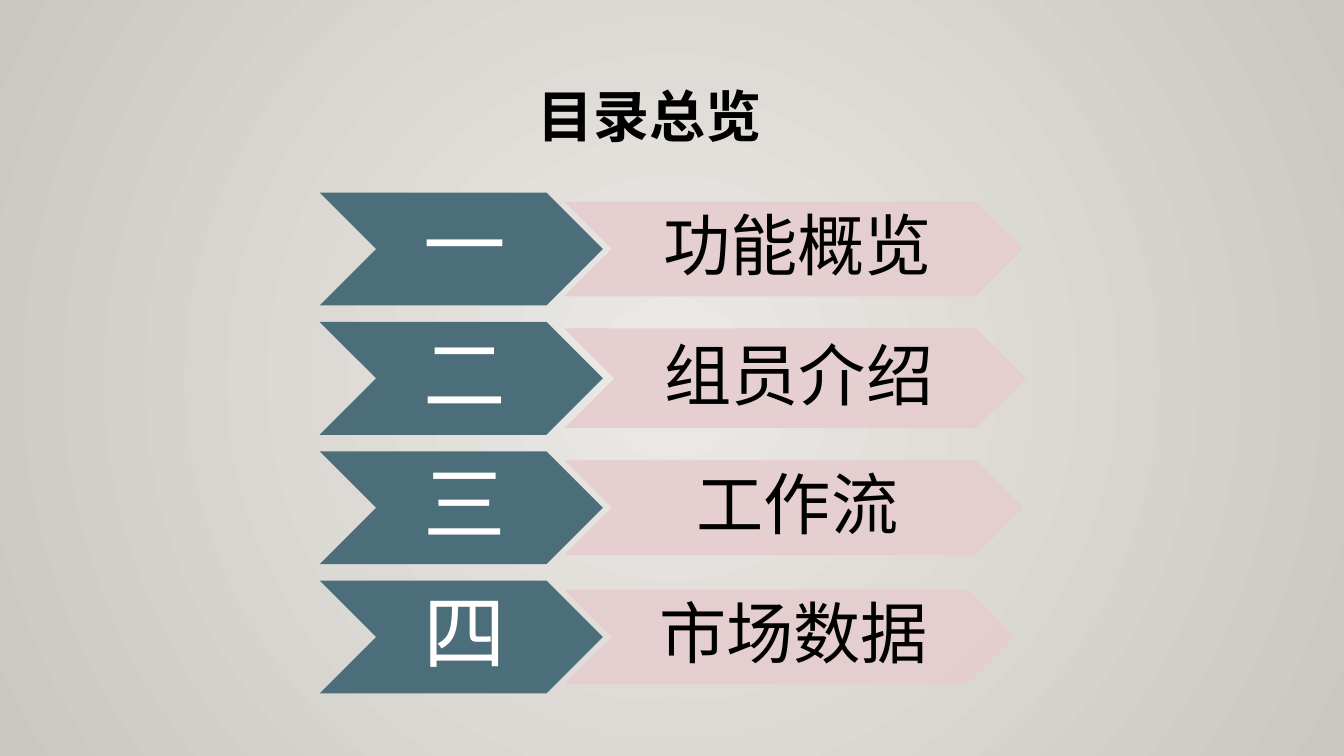
import dataclasses

import pptx
import pptx.dml.color
import pptx.enum.shapes
import pptx.enum.text
import pptx.oxml
import pptx.oxml.ns
import pptx.util

Inches = pptx.util.Inches
Pt = pptx.util.Pt
RGB = pptx.dml.color.RGBColor.from_string
qn = pptx.oxml.ns.qn


@dataclasses.dataclass(frozen=True)
class Theme:
    font: str = "Calibri"
    centre: str = "ECEAE7"
    edge: str = "CAC7C1"
    number_fill: str = "4C6E7A"
    topic_fill: str = "E6CDCF"
    light: str = "FFFFFF"
    dark: str = "000000"
    title_size: int = 40
    number_size: int = 59
    topic_size: int = 48


THEME = Theme()

# Number, topic, topic arrow width and height
AGENDA = [
    ("一", "功能概览", 4.53, 0.93),
    ("二", "组员介绍", 4.56, 0.98),
    ("三", "工作流", 4.53, 0.93),
    ("四", "市场数据", 4.45, 0.93),
]


def style_run(run, size, color, bold=False):
    run.font.name = THEME.font
    run.font.size = Pt(size)
    run.font.bold = bold
    run.font.color.rgb = RGB(color)


def set_alpha(fill, percent):
    """Make a solid fill element partly transparent."""
    alpha = pptx.oxml.parse_xml(
        f'<a:alpha {pptx.oxml.ns.nsdecls("a")} val="{percent * 1000}"/>')
    fill.find(qn("a:srgbClr")).append(alpha)


def paint_background(slide):
    """Radial gradient, lightest in the middle."""
    fill = slide.background.fill
    fill.gradient()
    for stop, position, color in zip(
            fill.gradient_stops, (0, 1), (THEME.centre, THEME.edge)):
        stop.position = position
        stop.color.rgb = RGB(color)
    gradient = next(slide.element.iter(qn("a:gradFill")))
    gradient.replace(gradient.find(qn("a:lin")), pptx.oxml.parse_xml(
        f'<a:path {pptx.oxml.ns.nsdecls("a")} path="circle">'
        '<a:fillToRect l="50000" t="50000" r="50000" b="50000"/></a:path>'))


def add_title(slide, left, top, width, height):
    title = slide.shapes.title
    title.left, title.top = Inches(left), Inches(top)
    title.width, title.height = Inches(width), Inches(height)
    frame = title.text_frame
    frame.text = "目录总览"
    frame.word_wrap = True
    frame.auto_size = pptx.enum.text.MSO_AUTO_SIZE.NONE
    frame.vertical_anchor = pptx.enum.text.MSO_ANCHOR.TOP
    heading = frame.paragraphs[0]
    heading.alignment = pptx.enum.text.PP_ALIGN.LEFT
    style_run(heading.runs[0], THEME.title_size, THEME.dark, bold=True)


def add_chevron(slide, box, text, fill, size, color, inset):
    chevron = slide.shapes.add_shape(
        pptx.enum.shapes.MSO_SHAPE.CHEVRON, *map(Inches, box))
    chevron.shadow.inherit = False
    chevron.fill.solid()
    chevron.fill.fore_color.rgb = RGB(fill)
    chevron.line.fill.background()
    frame = chevron.text_frame
    frame.text = text
    frame.word_wrap = True
    frame.vertical_anchor = pptx.enum.text.MSO_ANCHOR.MIDDLE
    frame.margin_left, frame.margin_right = Inches(inset), 0
    frame.margin_top = frame.margin_bottom = Inches(inset / 2)
    label = frame.paragraphs[0]
    label.alignment = pptx.enum.text.PP_ALIGN.CENTER
    label.line_spacing = 0.9
    style_run(label.runs[0], size, color)
    return chevron


def add_agenda(slide, left, top, width, height):
    """Equal rows: a number arrow, then a topic arrow centred on it."""
    number_width, number_height, topic_offset = 2.81, 1.12, 2.44
    pitch = (height - number_height) / (len(AGENDA) - 1)
    for row, (number, topic, share, topic_height) in enumerate(AGENDA):
        row_top = top + row * pitch
        add_chevron(slide, (left, row_top, number_width, number_height),
                    number, THEME.number_fill, THEME.number_size,
                    THEME.light, 0.08)

        topic_width = min(share, width - topic_offset)
        topic_top = row_top + (number_height - topic_height) / 2
        topic_arrow = add_chevron(
            slide, (left + topic_offset, topic_top, topic_width, topic_height),
            topic, THEME.topic_fill, THEME.topic_size, THEME.dark, 0.07)
        topic_arrow.line.color.rgb = RGB(THEME.topic_fill)
        topic_arrow.line.width = Pt(0.75)
        for fill in topic_arrow.element.spPr.iter(qn("a:solidFill")):
            set_alpha(fill, 90)


def main():
    deck = pptx.Presentation()
    deck.slide_width, deck.slide_height = Inches(13.33), Inches(7.5)
    slide = deck.slides.add_slide(deck.slide_layouts.get_by_name("Title Only"))
    paint_background(slide)
    add_title(slide, 5.23, 0.76, 3.51, 0.77)
    add_agenda(slide, 3.17, 1.91, 7.0, 4.97)
    deck.save("out.pptx")


if __name__ == "__main__":
    main()
